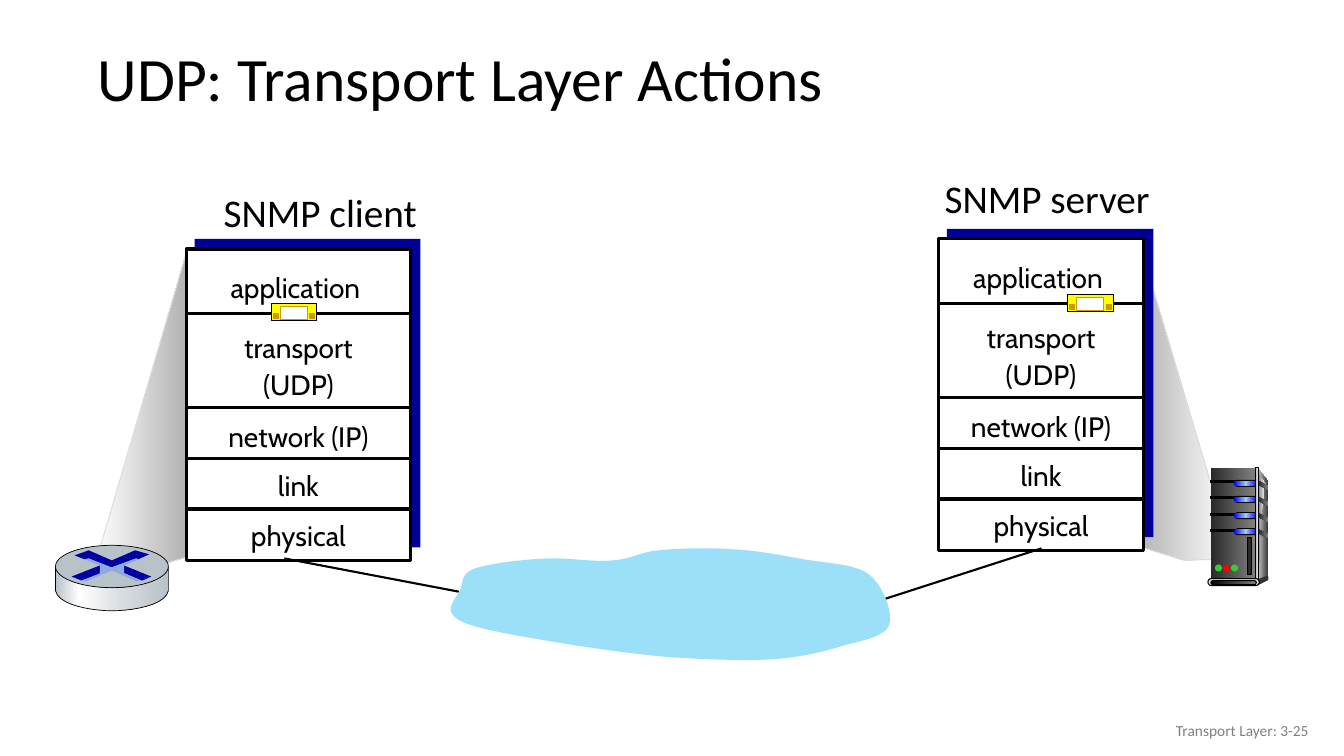
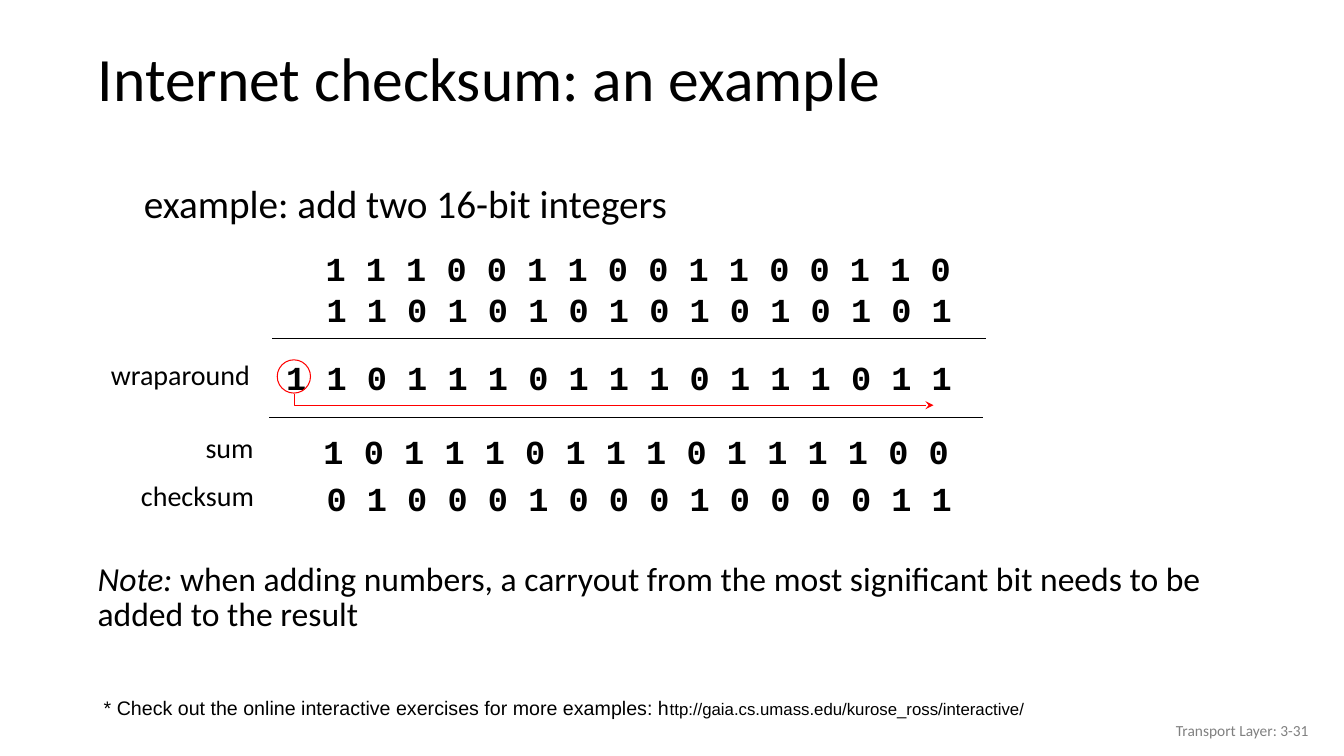
from dataclasses import dataclass
from typing import NamedTuple, Optional, Sequence, Union

from lxml import etree
from pptx import Presentation
from pptx.dml.color import RGBColor
from pptx.enum.shapes import MSO_CONNECTOR, MSO_SHAPE
from pptx.enum.text import MSO_ANCHOR, MSO_AUTO_SIZE, PP_ALIGN
from pptx.oxml.ns import qn
from pptx.util import Inches, Pt

RECT = MSO_SHAPE.RECTANGLE
OVAL = MSO_SHAPE.OVAL
PILL = MSO_SHAPE.ROUNDED_RECTANGLE
STRAIGHT = MSO_CONNECTOR.STRAIGHT
LEFT, CENTER, RIGHT = PP_ALIGN.LEFT, PP_ALIGN.CENTER, PP_ALIGN.RIGHT
TOP, MIDDLE = MSO_ANCHOR.TOP, MSO_ANCHOR.MIDDLE
FIXED = MSO_AUTO_SIZE.NONE

COLORS = {
    "black": "000000", "white": "FFFFFF", "gray": "808080", "navy": "000099",
    "sky": "9CDFF9", "red": "FF0000", "green": "33CC33", "yellow": "FFFF00",
    "gold": "CC9900", "silver": "B2B2B2", "pale": "DDDDDD", "dark": "333333",
    "coal": "292929", "mist": "F8F8F8", "blue": "0000FF", "ice": "99CCFF",
    "steel": "B8C2C9", "shine": "D6DCE0", "arrow": "0000A3", "shade": "8FAADC",
}
FADES = {
    "beam out": ((0, "silver"), (100, "white")),
    "beam in": ((0, "white"), (100, "silver")),
    "side": ((0, "pale"), (100, "dark")),
    "front": ((0, "coal"), (100, "gray")),
    "gleam": ((0, "gray"), (100, "mist")),
    "light": ((0, "blue"), (50, "ice"), (100, "blue")),
    "edge": ((0, "dark"), (50, "pale"), (100, "dark")),
    "foot": ((0, "black"), (100, "gray")),
    "metal": ((0, "steel"), (21, "white"), (60, "shine"), (100, "steel")),
}
STEPS = 10


class Box(NamedTuple):
    x: float
    y: float
    w: float
    h: float


class Run(NamedTuple):
    words: str
    size: Optional[float] = None
    slant: bool = False


class Label(NamedTuple):
    words: str
    top: float
    shift: float = 0


@dataclass(frozen=True)
class Stack:
    x: float
    y: float
    width: float
    title: str
    head: Box
    chip: tuple


@dataclass(frozen=True)
class Sum:
    digits: str
    x: float
    y: float
    label: str = ""
    box: Optional[Box] = None


LAYERS = (
    Label("application", 0.13, -0.03), Label("transport\n(UDP)", 0.73),
    Label("network (IP)", 1.61), Label("link", 2.1), Label("physical", 2.59),
)
RULES = (0.64, 1.57, 2.08, 2.58)
STACKS = (
    Stack(9.31, 2.37, 2.03, "SNMP server", Box(9.27, 1.68, 2.26, 0.57), (10.59, 2.92)),
    Stack(1.85, 2.47, 2.22, "SNMP client", Box(2.12, 1.82, 2.14, 0.57), (2.69, 3.01)),
)
SUMS = (
    Sum("1110011001100110", 3.13, 2.41),
    Sum("1101010101010101", 3.14, 2.82),
    Sum("11011101110111011", 2.74, 3.49, "wraparound", Box(1, 3.5, 1.59, 0.44)),
    Sum("1011101110111100", 3.11, 4.23, "sum", Box(1.94, 4.22, 0.7, 0.43)),
    Sum("0100010001000011", 3.14, 4.69, "checksum", Box(1.3, 4.7, 1.34, 0.44)),
)
CLOUD = (
    (6.53, 5.46), (6.33, 5.48, 6.26, 5.55, 6.07, 5.56),
    (5.88, 5.58, 5.64, 5.53, 5.42, 5.54), (5.19, 5.55, 4.85, 5.59, 4.71, 5.64),
    (4.56, 5.69, 4.6, 5.79, 4.56, 5.86), (4.52, 5.94, 4.44, 6.02, 4.48, 6.08),
    (4.51, 6.14, 4.58, 6.18, 4.77, 6.23), (4.96, 6.28, 5.32, 6.34, 5.63, 6.39),
    (5.94, 6.44, 6.3, 6.49, 6.64, 6.52), (6.98, 6.54, 7.37, 6.56, 7.67, 6.54),
    (7.96, 6.52, 8.19, 6.46, 8.38, 6.4), (8.58, 6.35, 8.78, 6.31, 8.82, 6.2),
    (8.86, 6.08, 8.76, 5.81, 8.62, 5.7), (8.48, 5.59, 8.2, 5.59, 7.98, 5.55),
    (7.75, 5.51, 7.51, 5.46, 7.27, 5.45), (7.03, 5.43, 6.73, 5.44, 6.53, 5.46),
)
DRUM = (
    (1.67, 5.63), (1.67, 5.86), (1.64, 6.01, 1.3, 6.06, 1.11, 6.06),
    (0.93, 6.06, 0.58, 6.01, 0.55, 5.86), (0.55, 5.63),
    (0.6, 5.76, 0.92, 5.83, 1.11, 5.83), (1.29, 5.83, 1.62, 5.78, 1.67, 5.63),
)
CROSS = (
    (0.84, 5.55), (0.88, 5.54), (1.11, 5.63), (1.35, 5.54), (1.38, 5.55),
    (1.23, 5.61), (1.23, 5.69), (1.4, 5.76), (1.36, 5.77), (1.11, 5.66),
    (0.85, 5.77), (0.81, 5.76), (0.99, 5.69), (0.99, 5.61),
)
ARROWS = (
    ((1.34, 5.46), (1.48, 5.5), (1.37, 5.55), (1.35, 5.54), (1.1, 5.63), (0.88, 5.54),
     (0.84, 5.55), (0.74, 5.51), (0.88, 5.46), (1.11, 5.56)),
    ((1.23, 5.61), (1.5, 5.72), (1.41, 5.76), (1.22, 5.68)),
    ((0.99, 5.61), (0.99, 5.69), (0.81, 5.76), (0.71, 5.72)),
)


def tint(name: str) -> RGBColor:
    return RGBColor.from_string(COLORS[name])


def write(shape, words: Union[str, Sequence[Run]], *, size: float = 20,
          font: str = "Calibri", color: str = "black", bold: bool = False,
          align=LEFT, anchor=TOP, wrap: bool = True, space: Optional[float] = None):
    frame = shape.text_frame
    frame.auto_size, frame.word_wrap = FIXED, wrap
    frame.vertical_anchor = anchor
    lines = [[Run(line)] for line in words.split("\n")] if isinstance(words, str) else [words]
    for i, line in enumerate(lines):
        para = frame.add_paragraph() if i else frame.paragraphs[0]
        para.alignment = align
        if space:
            para.line_spacing = space
        for part in line:
            run = para.add_run()
            run.text = part.words
            face = run.font
            face.name, face.size = font, Pt(part.size or size)
            face.bold, face.italic = bold, part.slant
            face.color.rgb = tint(color)


def text(slide, box: Box, words: Union[str, Sequence[Run]], **form):
    write(slide.shapes.add_textbox(*map(Inches, box)), words, **form)


def paint(shape, fill: Optional[str], edge: Optional[str], width: float):
    shape.shadow.inherit = False
    if fill in FADES:
        shape.fill.gradient()
        shape.fill.gradient_angle = 0
        stops = shape._element.spPr.find(qn("a:gradFill")).find(qn("a:gsLst"))
        for old in list(stops):
            stops.remove(old)
        for pos, name in FADES[fill]:
            stop = etree.SubElement(stops, qn("a:gs"), pos=str(pos * 1000))
            etree.SubElement(stop, qn("a:srgbClr"), val=COLORS[name])
    elif fill:
        shape.fill.solid()
        shape.fill.fore_color.rgb = tint(fill)
    else:
        shape.fill.background()
    if edge:
        shape.line.color.rgb = tint(edge)
        shape.line.width = Pt(width)
    else:
        shape.line.fill.background()


def block(slide, kind, box: Box, fill: Optional[str],
          edge: Optional[str] = None, width: float = 0.75):
    shape = slide.shapes.add_shape(kind, *map(Inches, box))
    if kind == PILL:
        shape.adjustments[0] = 0.5
    paint(shape, fill, edge, width)


def trace(nodes: Sequence[tuple]) -> list:
    points = [nodes[0]]
    for node in nodes[1:]:
        if len(node) == 2:
            points.append(node)
            continue
        ends = (points[-1], node[:2], node[2:4], node[4:])
        for i in range(1, STEPS + 1):
            t = i / STEPS
            parts = ((1 - t) ** 3, 3 * t * (1 - t) ** 2, 3 * t * t * (1 - t), t ** 3)
            points.append(tuple(sum(p * end[k] for p, end in zip(parts, ends)) for k in (0, 1)))
    return [(Inches(x), Inches(y)) for x, y in points]


def outline(slide, nodes: Sequence[tuple], fill: Optional[str],
            edge: Optional[str] = None, width: float = 0.75, close: bool = True):
    first, *rest = trace(nodes)
    pen = slide.shapes.build_freeform(*first)
    pen.add_line_segments(rest, close=close)
    shape = pen.convert_to_shape()
    paint(shape, fill, edge, width)
    return shape


def rule(slide, x1: float, y1: float, x2: float, y2: float, width: float):
    line = slide.shapes.add_connector(STRAIGHT, *map(Inches, (x1, y1, x2, y2)))
    line.line.color.rgb = tint("black")
    line.line.width = Pt(width)
    etree.SubElement(line._element.spPr, qn("a:effectLst"))


def start(deck, title: str, page: int):
    slide = deck.slides.add_slide(deck.slide_layouts[5])
    head = slide.shapes.title
    head.left, head.top, head.width, head.height = map(Inches, (0.87, 0.32, 12.14, 0.98))
    write(head, title, size=44, anchor=MIDDLE, space=0.9)
    text(slide, Box(10.08, 7.05, 3, 0.4), f"Transport Layer: 3-{page}",
         size=11, color="gray", align=RIGHT, anchor=MIDDLE)
    return slide


def tower(slide):
    outline(slide, ((12.48, 4.65), (12.58, 4.78), (12.57, 5.71), (12.46, 5.76)), "side")
    block(slide, RECT, Box(12.01, 4.64, 0.44, 1.12), "front")
    outline(slide, ((12.48, 4.71), (12.48, 4.71, 12.5, 4.72, 12.55, 4.8),
                    (12.48, 5.21, 12.49, 5.75, 12.48, 5.73)), "gleam")
    for i in range(4):
        y = 4.77 + 0.16 * i
        block(slide, RECT, Box(12.01, y, 0.25, 0.02), "black", "black")
        block(slide, PILL, Box(12.24, y - 0.01, 0.24, 0.07), "black")
        block(slide, PILL, Box(12.24, y, 0.23, 0.05), "light")
        outline(slide, ((12.48, y), (12.49, y, 12.53, y + 0.03, 12.58, y + 0.05),
                        (12.58, y + 0.09), (12.48, y + 0.04)), "front")
    block(slide, RECT, Box(12.45, 4.64, 0.03, 1.12), "edge", "black")
    block(slide, OVAL, Box(12.56, 5.71, 0.02, 0.05), "dark")
    outline(slide, ((12.47, 5.75), (12.47, 5.81), (12.57, 5.76), (12.57, 5.71)), "dark")
    block(slide, PILL, Box(11.98, 5.74, 0.51, 0.07), "pale", "black")
    block(slide, PILL, Box(12.01, 5.76, 0.45, 0.04), "foot", "black")
    for i, lamp in enumerate(("green", "red", "green")):
        block(slide, OVAL, Box(12.05 + 0.08 * i, 5.6, 0.07, 0.07), lamp)
    block(slide, RECT, Box(12.37, 5.33, 0.04, 0.37), "coal", "black")


def router(slide):
    outline(slide, DRUM, "metal", "black", 0.5)
    block(slide, OVAL, Box(0.55, 5.41, 1.12, 0.42), "steel", "black", 0.5)
    for arrow in ARROWS:
        outline(slide, arrow, "arrow")
    outline(slide, CROSS, "shade")


def chip(slide, x: float, y: float):
    block(slide, RECT, Box(x, y, 0.45, 0.17), "yellow", "black")
    block(slide, RECT, Box(x + 0.09, y + 0.03, 0.27, 0.13), "white", "gold")
    for gap in (0.02, 0.38):
        block(slide, RECT, Box(x + gap, y + 0.1, 0.05, 0.05), "gold", "gold")


def stack(slide, item: Stack):
    x, y, width = item.x, item.y, item.width
    text(slide, item.head, item.title, size=28, wrap=False)
    block(slide, RECT, Box(x + 0.08, y - 0.1, width + 0.02, 3.06), "navy")
    block(slide, RECT, Box(x, y, width, 3.09), "white", "black", 2.25)
    for drop in RULES:
        rule(slide, x + 0.01, y + drop, x + width, y + drop, 2.25)
    for name in LAYERS:
        tall = 0.81 if "\n" in name.words else 0.48
        text(slide, Box(x + 0.11 + name.shift, y + name.top, width - 0.22, tall),
             name.words, font="Cabin", align=CENTER, space=1.1)


def actions(deck):
    slide = start(deck, "UDP: Transport Layer Actions", 25)
    outline(slide, ((12.23, 5.54), (11.29, 2.37), (11.26, 5.41), (11.75, 5.56)),
            "beam out", "pale")
    outline(slide, ((0.93, 5.65), (1.86, 2.47), (1.84, 5.53), (1.41, 5.66)),
            "beam in", "pale")
    tower(slide)
    for item in STACKS:
        stack(slide, item)
        chip(slide, *item.chip)
    rule(slide, 10.33, 5.44, 8.72, 5.96, 1.5)
    rule(slide, 2.82, 5.54, 4.55, 5.87, 1.5)
    outline(slide, CLOUD, "sky")
    router(slide)


def checksum(deck):
    slide = start(deck, "Internet checksum: an example", 31)
    text(slide, Box(1.33, 1.59, 8.5, 0.8), "example: add two 16-bit integers",
         size=28, space=1.3)
    for item in SUMS:
        text(slide, Box(item.x, item.y, 0.4 * len(item.digits) + 0.05, 0.5),
             " ".join(item.digits), size=24, font="Courier New", bold=True, wrap=False)
        if item.box:
            text(slide, item.box, item.label, wrap=False)
    rule(slide, 2.7, 3.36, 9.78, 3.36, 1)
    rule(slide, 2.67, 4.14, 9.75, 4.14, 1)
    block(slide, OVAL, Box(2.75, 3.57, 0.33, 0.33), None, "red")
    carry = outline(slide, ((2.92, 3.91), (2.92, 4.02), (9.26, 4.02)), None, "red", close=False)
    etree.SubElement(carry._element.spPr.find(qn("a:ln")), qn("a:tailEnd"), type="stealth")
    text(slide, Box(0.87, 5.55, 11.34, 1.18), (
        Run("Note:", slant=True),
        Run(" when adding numbers, a carryout from the most significant bit"
            " needs to be added to the result")), size=24, space=0.85)
    text(slide, Box(0.93, 6.85, 10.78, 0.34), (
        Run("* Check out the online interactive exercises for more examples: h"),
        Run("ttp://gaia.cs.umass.edu/kurose_ross/interactive/", 12)), size=14, font="Arial")


def main():
    deck = Presentation()
    deck.slide_width, deck.slide_height = Inches(13.33), Inches(7.5)
    actions(deck)
    checksum(deck)
    deck.save("out.pptx")


if __name__ == "__main__":
    main()
